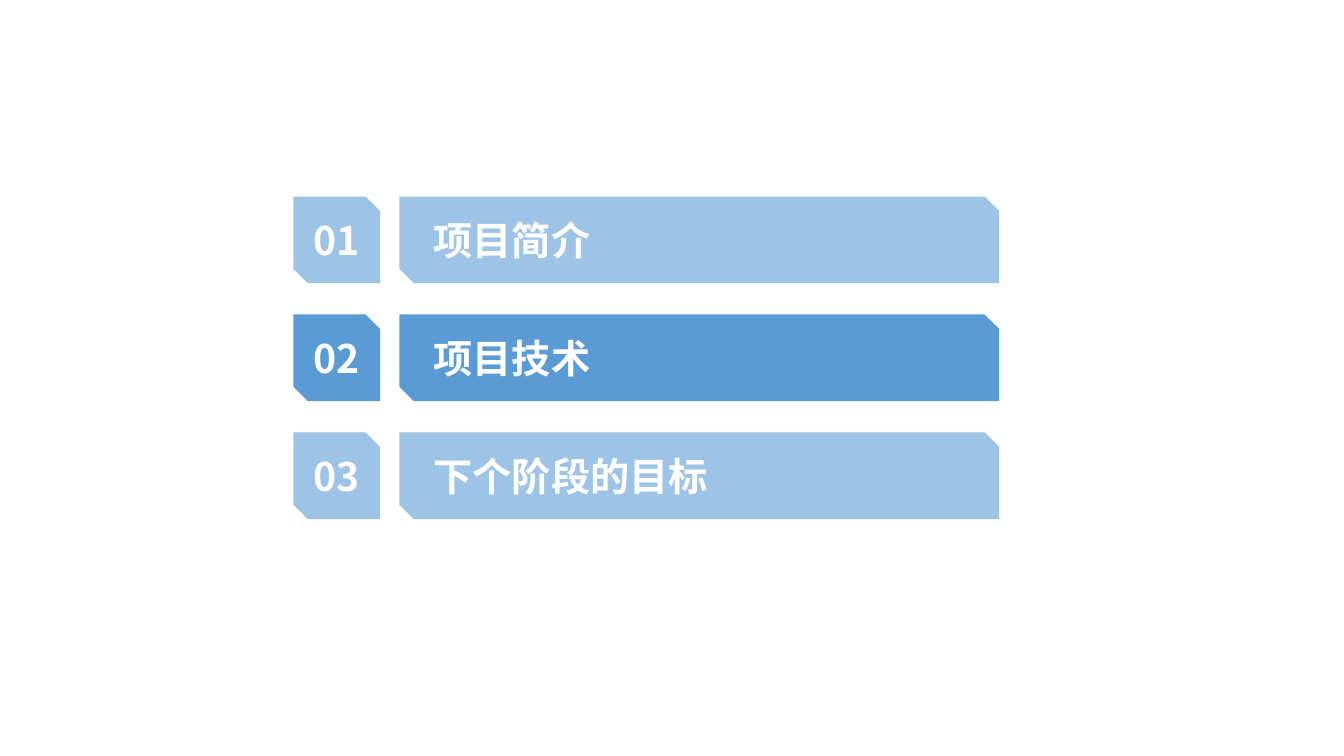
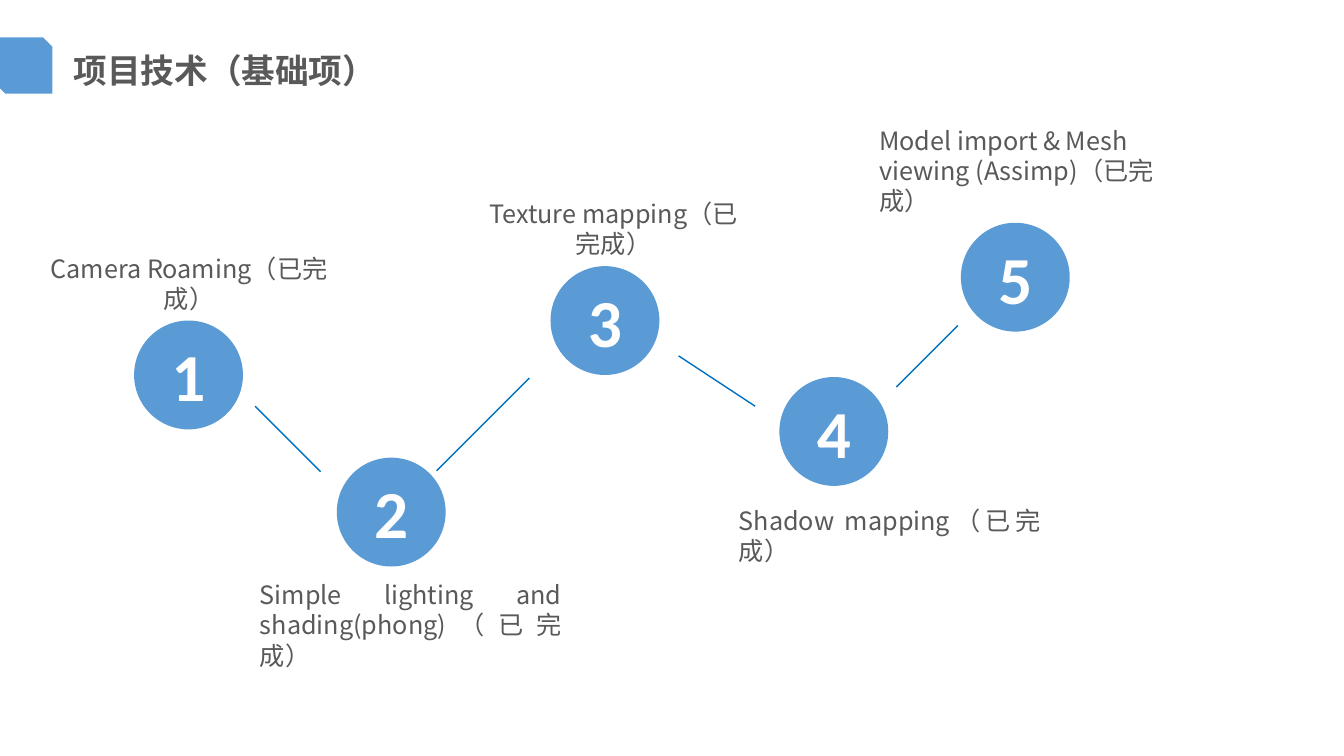
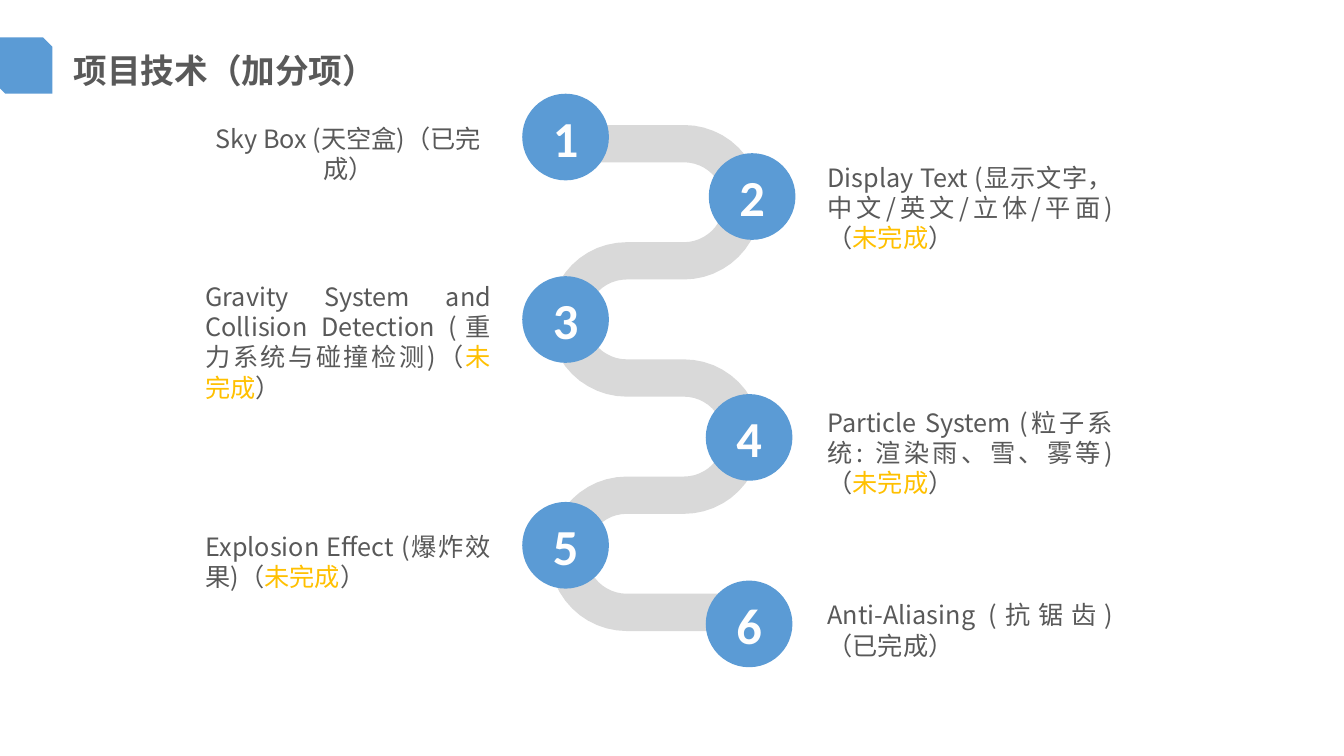
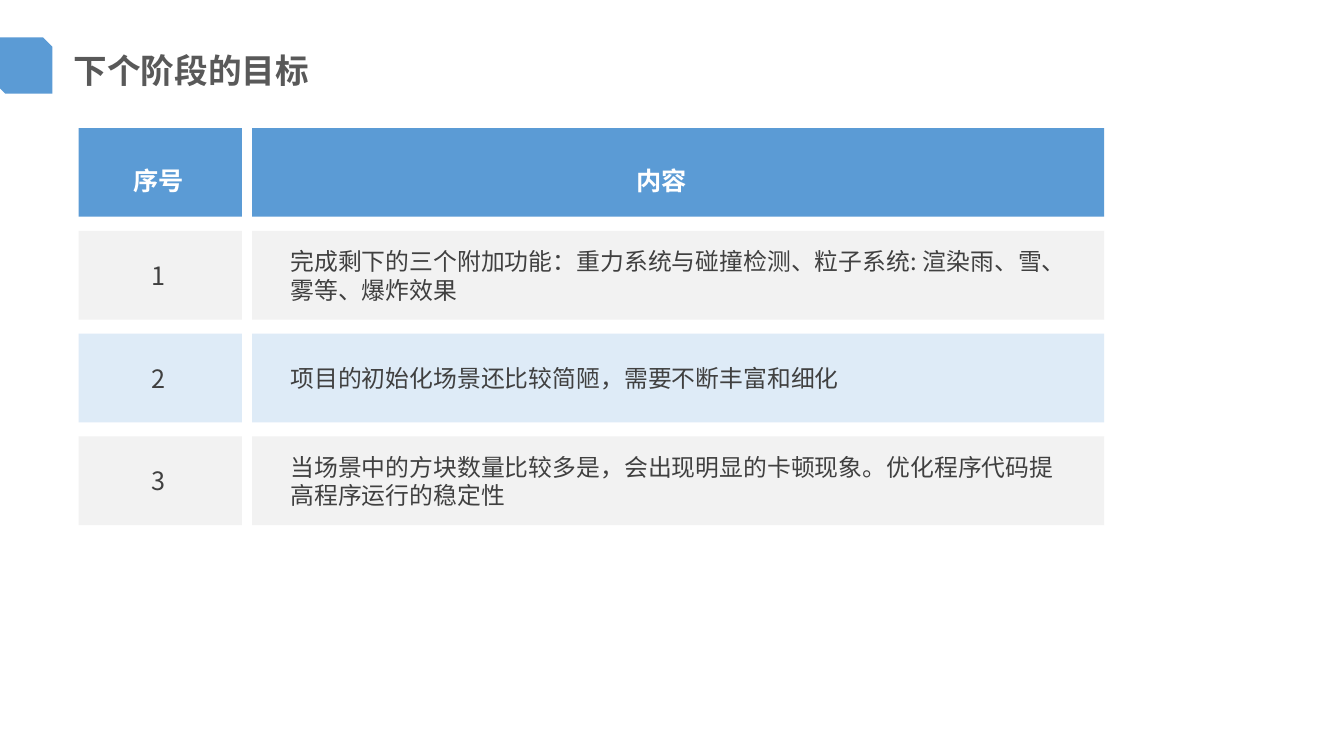
from math import cos, pi, sin

from lxml.etree import SubElement
from pptx import Presentation
from pptx.dml.color import RGBColor
from pptx.enum.shapes import MSO_CONNECTOR as CONNECTOR, MSO_SHAPE as SHAPE
from pptx.enum.text import MSO_ANCHOR as ANCHOR, PP_ALIGN as ALIGN
from pptx.oxml.ns import qn
from pptx.util import Emu, Pt

BLUE = RGBColor(0x5B, 0x9B, 0xD5)
SOFT_BLUE = RGBColor(0x9D, 0xC3, 0xE6)
PALE_BLUE = RGBColor(0xDE, 0xEB, 0xF7)
LINK_BLUE = RGBColor(0x00, 0x70, 0xC0)
RIBBON_GREY = RGBColor(0xD9, 0xD9, 0xD9)
ROW_GREY = RGBColor(0xF2, 0xF2, 0xF2)
TEXT_GREY = RGBColor(0x59, 0x59, 0x59)
CELL_TEXT = RGBColor(0x40, 0x40, 0x40)
AMBER = RGBColor(0xFF, 0xC0, 0x00)
WHITE = RGBColor(0xFF, 0xFF, 0xFF)
NUMBER_WHITE = RGBColor(0xFE, 0xFE, 0xFE)

CJK_FONT = "Noto Sans CJK SC"
NUMBER_FONT = "Calibri"
EMU_PER_PX = 9144
TITLE_ONLY, BLANK = 5, 6
DONE, OPEN = "已完成", "未完成"
STATUS_COLORS = {DONE: TEXT_GREY, OPEN: AMBER}


def px(length):
    """Turn a length in px into EMU."""
    return Emu(round(length * EMU_PER_PX))


def place(box):
    """Turn a left, top, width, height box into EMU."""
    return [px(length) for length in box]


def add_run(paragraph, text, size, color, bold=False, font=CJK_FONT):
    """Add one formatted run, with its font set for Latin and East Asian text."""
    run = paragraph.add_run()
    run.text = text
    run.font.size = Pt(size)
    run.font.bold = bold
    run.font.color.rgb = color
    run.font.name = font
    SubElement(run.font._element, qn("a:ea")).set("typeface", font)


def set_insets(frame, left=0, top=0, right=0, bottom=0):
    """Set the four inner margins of a text frame."""
    frame.margin_left, frame.margin_top = px(left), px(top)
    frame.margin_right, frame.margin_bottom = px(right), px(bottom)


def paint(shape, color):
    """Give a shape a flat fill without line or shadow."""
    shape.shadow.inherit = False
    shape.fill.solid()
    shape.fill.fore_color.rgb = color
    shape.line.fill.background()


def add_panel(slide, kind, box, color):
    """Add a flat preset shape."""
    panel = slide.shapes.add_shape(kind, *place(box))
    paint(panel, color)
    return panel


def add_filled_text(panel, text, size, color, align=ALIGN.CENTER, bold=False,
                    font=CJK_FONT, **insets):
    """Write one vertically centred paragraph inside a shape."""
    frame = panel.text_frame
    frame.word_wrap = True
    frame.vertical_anchor = ANCHOR.MIDDLE
    set_insets(frame, **insets)
    frame.paragraphs[0].alignment = align
    add_run(frame.paragraphs[0], text, size, color, bold, font)


def add_agenda_row(slide, box, number, heading, color):
    """Add a numbered agenda entry: a square and a bar."""
    left, top, width, height = box
    bar_offset = height + 19
    square = add_panel(slide, SHAPE.SNIP_2_DIAG_RECTANGLE,
                       (left, top, height, height), color)
    add_filled_text(square, number, 28, WHITE, bold=True)
    bar = add_panel(slide, SHAPE.SNIP_2_DIAG_RECTANGLE,
                    (left + bar_offset, top, width - bar_offset, height), color)
    add_filled_text(bar, heading, 28, WHITE, ALIGN.LEFT, bold=True, left=27)


def add_titled_slide(deck, heading):
    """Add a slide with the corner tab and the title."""
    slide = deck.slides.add_slide(deck.slide_layouts[TITLE_ONLY])
    add_panel(slide, SHAPE.SNIP_2_DIAG_RECTANGLE, (-4, 37, 56, 56), BLUE)
    title = slide.shapes.title
    title.left, title.top, title.width, title.height = place((63, 43, 600, 53))
    frame = title.text_frame
    frame.word_wrap = True
    frame.vertical_anchor = ANCHOR.MIDDLE
    set_insets(frame, 10, 5, 10, 5)
    frame.paragraphs[0].alignment = ALIGN.LEFT
    add_run(frame.paragraphs[0], heading, 24, TEXT_GREY, bold=True)
    return slide


def add_step(slide, box, number, size):
    """Add a numbered circle."""
    circle = add_panel(slide, SHAPE.OVAL, box, BLUE)
    add_filled_text(circle, str(number), size, NUMBER_WHITE, bold=True,
                    font=NUMBER_FONT)


def add_feature(slide, box, feature, status, align):
    """Add a feature label followed by its status in brackets."""
    frame = slide.shapes.add_textbox(*place(box)).text_frame
    frame.word_wrap = True
    paragraph = frame.paragraphs[0]
    paragraph.alignment = align
    for text, color in ((feature + "（", TEXT_GREY),
                        (status, STATUS_COLORS[status]), ("）", TEXT_GREY)):
        add_run(paragraph, text, 18, color)


def add_link(slide, start, end):
    """Add a thin line between two steps."""
    link = slide.shapes.add_connector(CONNECTOR.STRAIGHT, *place(start + end))
    link.line.color.rgb = LINK_BLUE
    link.line.width = Pt(1)
    SubElement(link._element.spPr, qn("a:effectLst"))


def add_ribbon(slide, box, band, bends, steps=24):
    """Add a winding band that fills the box and turns right, then left."""
    left, top, width, height = box
    pitch = (height - band) / bends
    radius = pitch / 2
    reach = radius + band / 2
    middle = [(left + 27, top + band / 2, 0, -1)]
    for bend in range(bends):
        side = 1 if bend % 2 == 0 else -1
        center_x = left + width - reach if side == 1 else left + reach
        center_y = top + band / 2 + pitch * bend + radius
        for step in range(steps + 1):
            angle = -pi / 2 + pi * step / steps
            across, down = cos(angle), side * sin(angle)
            middle.append((center_x + side * radius * across,
                           center_y + side * radius * down, across, down))
    middle.append((left + width - 27, top + height - band / 2, 0, -1))
    upper = [(px(x + nx * band / 2), px(y + ny * band / 2))
             for x, y, nx, ny in middle]
    lower = [(px(x - nx * band / 2), px(y - ny * band / 2))
             for x, y, nx, ny in reversed(middle)]
    outline = slide.shapes.build_freeform(*upper[0])
    outline.add_line_segments(upper[1:] + lower, close=True)
    paint(outline.convert_to_shape(), RIBBON_GREY)


def add_goal_row(slide, box, number, goal, color):
    """Add a row with a number cell and a goal cell."""
    left, top, width, height = box
    number_width, gap = 162, 10
    goal_left = left + number_width + gap
    number_cell = add_panel(slide, SHAPE.RECTANGLE,
                            (left, top, number_width, height), color)
    goal_cell = add_panel(slide, SHAPE.RECTANGLE,
                          (goal_left, top, left + width - goal_left, height), color)
    if color == BLUE:
        add_filled_text(number_cell, number, 18, WHITE, bold=True, top=16, right=4)
        add_filled_text(goal_cell, goal, 18, WHITE, bold=True, top=16, right=33)
    else:
        add_filled_text(number_cell, number, 18, CELL_TEXT, right=4)
        add_filled_text(goal_cell, goal, 17, CELL_TEXT, ALIGN.LEFT,
                        left=38, right=38)


def build_agenda(deck):
    """Build the agenda with its second entry highlighted."""
    slide = deck.slides.add_slide(deck.slide_layouts[BLANK])
    entries = (("01", "项目简介", SOFT_BLUE), ("02", "项目技术", BLUE),
               ("03", "下个阶段的目标", SOFT_BLUE))
    for row, entry in enumerate(entries):
        add_agenda_row(slide, (291, 195 + 117 * row, 700, 86), *entry)


def build_basics(deck):
    """Build the zigzag of basic features."""
    slide = add_titled_slide(deck, "项目技术（基础项）")
    links = (((253, 403), (318, 468)), ((433, 467), (525, 375)),
             ((673, 353), (749, 403)), ((889, 384), (950, 323)))
    for start, end in links:
        add_link(slide, start, end)
    features = (
        (133, 318, "Camera Roaming", (28, 246, 319, 72), ALIGN.CENTER),
        (334, 454, "Simple lighting and shading(phong)",
         (248, 570, 319, 102), ALIGN.JUSTIFY),
        (546, 264, "Texture mapping", (464, 192, 289, 72), ALIGN.CENTER),
        (773, 374, "Shadow mapping", (723, 496, 319, 72), ALIGN.JUSTIFY),
        (953, 221, "Model import & Mesh viewing (Assimp)",
         (862, 119, 319, 102), ALIGN.LEFT),
    )
    for number, (left, top, feature, label_box, align) in enumerate(features, 1):
        add_step(slide, (left, top, 108, 108), number, 48)
        add_feature(slide, label_box, feature, DONE, align)


def build_extras(deck):
    """Build the winding path of bonus features."""
    slide = add_titled_slide(deck, "项目技术（加分项）")
    add_ribbon(slide, (545, 124, 210, 502), band=37, bends=4)
    features = (
        (518, 93, "Sky Box (天空盒)", DONE, 117, ALIGN.CENTER),
        (703, 152, "Display Text (显示文字，中文/英文/立体/平面)", OPEN, 156,
         ALIGN.JUSTIFY),
        (518, 274, "Gravity System and Collision Detection (重力系统与碰撞检测)",
         OPEN, 274, ALIGN.JUSTIFY),
        (700, 391, "Particle System (粒子系统: 渲染雨、雪、雾等)", OPEN, 399,
         ALIGN.JUSTIFY),
        (518, 498, "Explosion Eﬀect (爆炸效果)", OPEN, 522, ALIGN.JUSTIFY),
        (700, 576, "Anti-Aliasing (抗锯齿)", DONE, 590, ALIGN.JUSTIFY),
    )
    for number, (left, top, feature, status, label_top, align) in enumerate(features, 1):
        add_step(slide, (left, top, 86, 86), number, 36)
        label_left = 194 if number % 2 else 811
        add_feature(slide, (label_left, label_top, 303, 102), feature, status, align)


def build_goals(deck):
    """Build the list of goals for the next stage."""
    slide = add_titled_slide(deck, "下个阶段的目标")
    rows = (
        ("序号", "内容", BLUE),
        ("1", "完成剩下的三个附加功能：重力系统与碰撞检测、粒子系统: 渲染雨、雪、雾等、爆炸效果",
         ROW_GREY),
        ("2", "项目的初始化场景还比较简陋，需要不断丰富和细化", PALE_BLUE),
        ("3", "当场景中的方块数量比较多是，会出现明显的卡顿现象。优化程序代码提高程序运行的稳定性",
         ROW_GREY),
    )
    for index, row in enumerate(rows):
        add_goal_row(slide, (78, 127 + 102 * index, 1017, 88), *row)


def main():
    """Build and save the presentation."""
    deck = Presentation()
    deck.slide_width, deck.slide_height = px(1333), px(750)
    for build in (build_agenda, build_basics, build_extras, build_goals):
        build(deck)
    deck.save("out.pptx")


if __name__ == "__main__":
    main()
